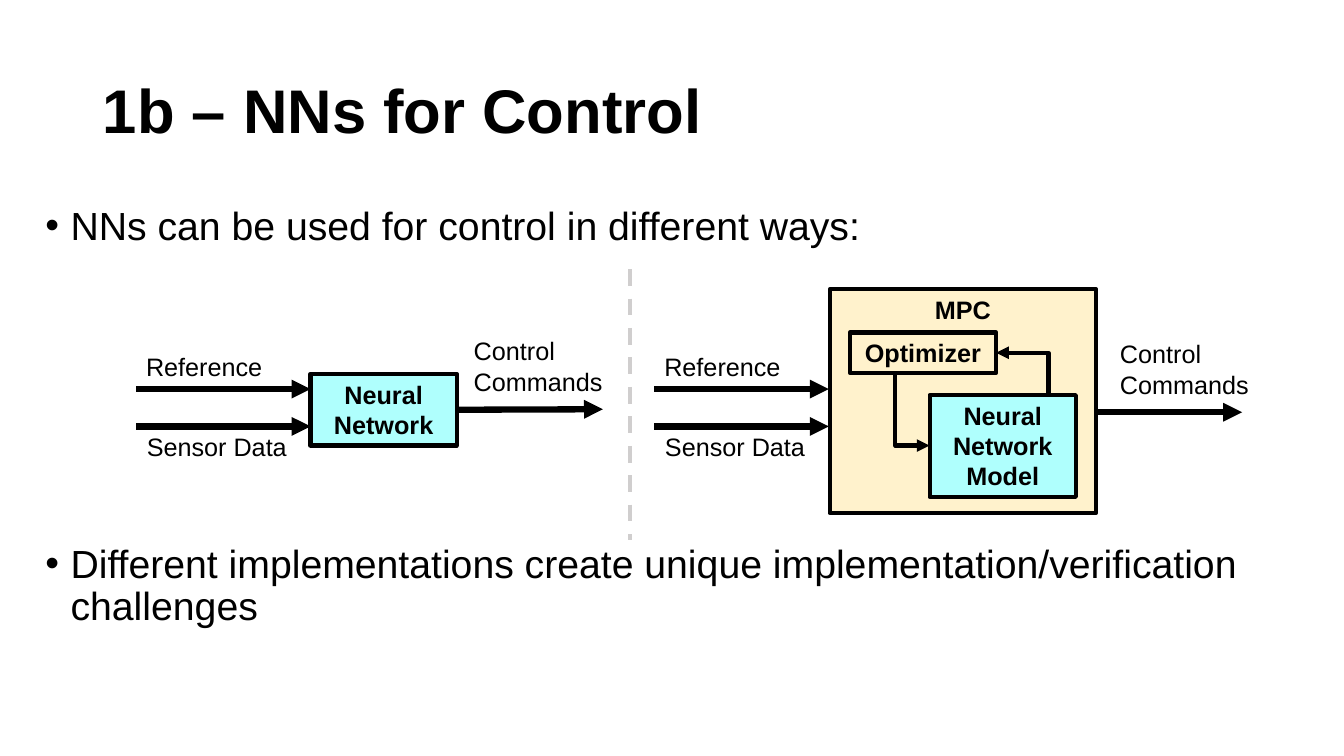
from lxml import etree
from pptx import Presentation
from pptx.dml.color import RGBColor
from pptx.enum.dml import MSO_LINE
from pptx.enum.shapes import MSO_CONNECTOR, MSO_SHAPE
from pptx.enum.text import MSO_ANCHOR, MSO_AUTO_SIZE, PP_ALIGN
from pptx.oxml.ns import qn
from pptx.util import Pt

PX = 9144
FONT = "Arial"
BLACK = RGBColor(0x00, 0x00, 0x00)
CYAN = RGBColor(0xAF, 0xFF, 0xFD)
CREAM = RGBColor(0xFF, 0xF2, 0xCC)
GRAY = RGBColor(0xD0, 0xCE, 0xCE)
STRAIGHT, ELBOW = MSO_CONNECTOR.STRAIGHT, MSO_CONNECTOR.ELBOW
RECTANGLE, DASH = MSO_SHAPE.RECTANGLE, MSO_LINE.DASH
TOP, MIDDLE = MSO_ANCHOR.TOP, MSO_ANCHOR.MIDDLE
LEFT, CENTER = PP_ALIGN.LEFT, PP_ALIGN.CENTER
NO_FIT = MSO_AUTO_SIZE.NONE
RIGHT_SIDE = 3


def px(*lengths):
    return [round(length * PX) for length in lengths]


def write(frame, text, size=18, bold=False, align=LEFT, anchor=TOP,
          line_spacing=1.0, gap=0, bullet=False):
    frame.word_wrap = True
    frame.auto_size = NO_FIT
    frame.vertical_anchor = anchor
    for index, line in enumerate(text.split("\n")):
        paragraph = frame.add_paragraph() if index else frame.paragraphs[0]
        paragraph.text = line
        if bullet:
            properties = paragraph._p.get_or_add_pPr()
            properties.set("marL", str(25 * PX))
            properties.set("indent", str(-25 * PX))
            etree.SubElement(properties, qn("a:buFont")).set("typeface", FONT)
            etree.SubElement(properties, qn("a:buChar")).set("char", "•")
        paragraph.alignment = align
        paragraph.line_spacing = line_spacing
        paragraph.space_before = Pt(gap if index else 0)
        for run in paragraph.runs:
            run.font.name = FONT
            run.font.size = Pt(size)
            run.font.bold = bold
            run.font.color.rgb = BLACK


def fill_placeholder(placeholder, box, text, **text_format):
    placeholder.left, placeholder.top, placeholder.width, placeholder.height = px(*box)
    write(placeholder.text_frame, text, line_spacing=0.9, **text_format)


def add_label(slide, box, text, **text_format):
    label = slide.shapes.add_textbox(*px(*box))
    write(label.text_frame, text, **text_format)


def add_block(slide, box, text, fill):
    block = slide.shapes.add_shape(RECTANGLE, *px(*box))
    block.shadow.inherit = False
    block.fill.solid()
    block.fill.fore_color.rgb = fill
    block.line.color.rgb = BLACK
    block.line.width = Pt(3)
    write(block.text_frame, text, bold=True, align=CENTER)
    return block


def add_line(slide, start, end, width=4.5, color=BLACK, kind=STRAIGHT, arrow=True):
    line = slide.shapes.add_connector(kind, *px(*start, *end))
    line.line.color.rgb = color
    line.line.width = Pt(width)
    if arrow:
        etree.SubElement(line.line._get_or_add_ln(), qn("a:tailEnd")).set("type", "triangle")
    etree.SubElement(line._element.spPr, qn("a:effectLst"))
    return line


def add_elbow(slide, start, end):
    middle_x, middle_y = (start[0] + end[0]) / 2, (start[1] + end[1]) / 2
    half_run, half_rise = (start[1] - end[1]) / 2, (end[0] - start[0]) / 2
    elbow = add_line(slide, (middle_x - half_run, middle_y - half_rise),
                     (middle_x + half_run, middle_y + half_rise), width=3, kind=ELBOW)
    properties = elbow._element.spPr
    properties.find(qn("a:xfrm")).set("rot", str(270 * 60000))
    properties.find(qn("a:prstGeom")).set("prst", "bentConnector2")


def draw_inputs(slide, left, top):
    add_label(slide, (left + 1, top, 145, 40), "Reference", align=CENTER)
    add_label(slide, (left, top + 79, 172, 40), "Sensor Data", align=CENTER)
    for y in (top + 42, top + 79):
        add_line(slide, (left + 6, y), (left + 179, y))


def draw_output(slide, left, y, label_gap):
    add_label(slide, (left + label_gap, y - 78, 159, 71), "Control Commands")
    return add_line(slide, (left, y), (left + 145, y))


def draw_direct_control(slide, left, top):
    draw_inputs(slide, left, top)
    network = add_block(slide, (left + 179, top + 27, 145, 71), "Neural Network", CYAN)
    commands = draw_output(slide, left + 324, top + 62, 7)
    commands.begin_connect(network, RIGHT_SIDE)


def draw_predictive_control(slide, left, top):
    draw_inputs(slide, left, top)
    mpc_left, mpc_top = left + 180, top - 57
    add_block(slide, (mpc_left, mpc_top, 264, 222), "MPC", CREAM)
    add_elbow(slide, (mpc_left + 65, mpc_top + 83), (mpc_left + 99, mpc_top + 155))
    add_block(slide, (mpc_left + 20, mpc_top + 43, 145, 40), "Optimizer", CREAM)
    add_elbow(slide, (mpc_left + 217, mpc_top + 105), (mpc_left + 165, mpc_top + 63))
    add_block(slide, (mpc_left + 99, mpc_top + 105, 145, 101), "Neural Network Model", CYAN)
    draw_output(slide, mpc_left + 264, mpc_top + 122, 14)


def draw_divider(slide, x, top, bottom):
    divider = add_line(slide, (x, top), (x, bottom), width=3, color=GRAY, arrow=False)
    divider.line.dash_style = DASH


def main():
    presentation = Presentation()
    presentation.slide_width, presentation.slide_height = px(1333, 750)
    slide = presentation.slides.add_slide(presentation.slide_layouts[1])
    title, body = slide.placeholders
    fill_placeholder(title, (92, 40, 1168, 145), "1b – NNs for Control",
                     size=44, bold=True, anchor=MIDDLE)
    fill_placeholder(body, (35, 200, 1298, 476),
                     "NNs can be used for control in different ways:\n"
                     "Different implementations create unique implementation/verification challenges",
                     size=28, gap=211, bullet=True)
    draw_direct_control(slide, 129, 344)
    draw_divider(slide, 625, 267, 536)
    draw_predictive_control(slide, 643, 344)
    presentation.save("out.pptx")


if __name__ == "__main__":
    main()
